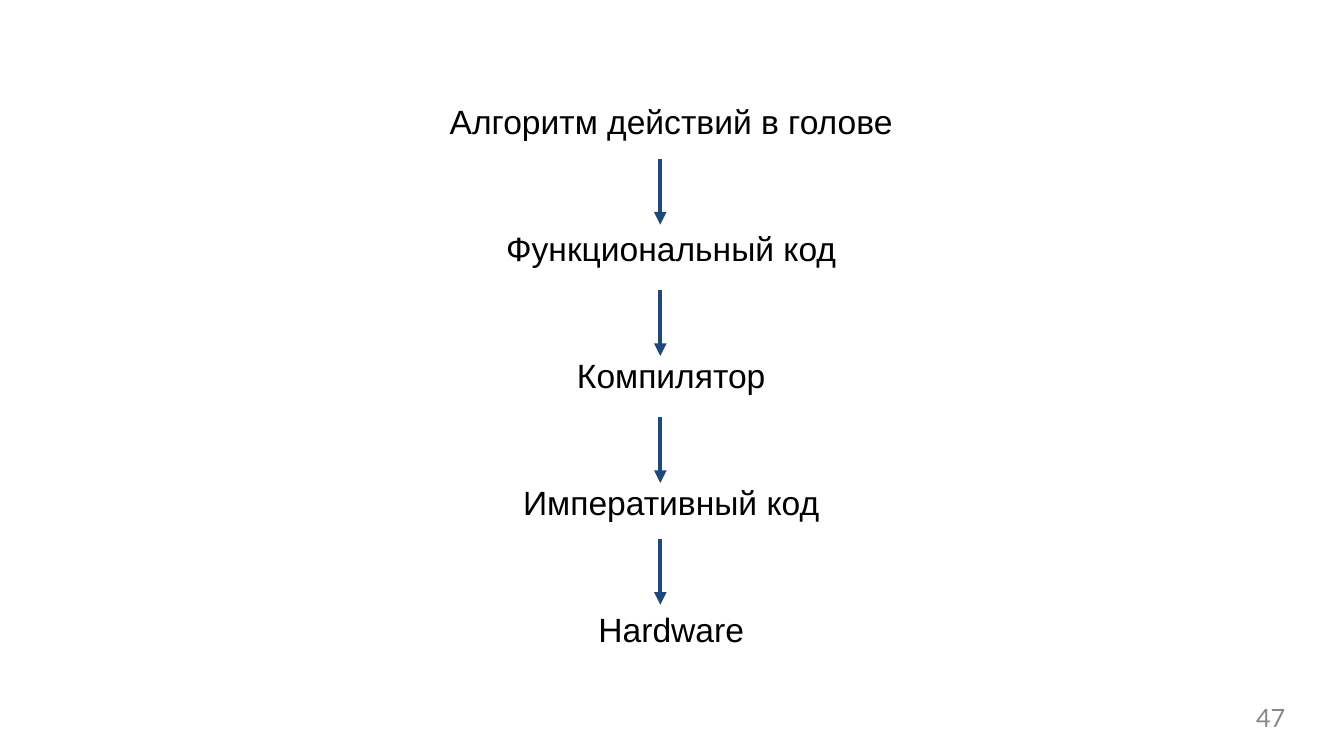
import pptx
import pptx.dml.color
import pptx.enum.shapes
import pptx.enum.text
import pptx.oxml
import pptx.oxml.ns
import pptx.util
from pptx.util import Cm

STAGES = [
    "Алгоритм действий в голове",
    "Функциональный код",
    "Компилятор",
    "Императивный код",
    "Hardware",
]
STAGE_HEIGHT = 3.2
ARROW_X = 16.64
ARROW_TOPS = [4.01, 7.32, 10.52, 13.59]
ARROW_LENGTH = 1.65


def colour(value):
    return pptx.dml.color.RGBColor.from_string(value)


def write(paragraph, text, font, size, hex_colour, align):
    paragraph.alignment = align
    run = paragraph.add_run()
    run.text = text
    run.font.name = font
    run.font.size = pptx.util.Pt(size)
    run.font.color.rgb = colour(hex_colour)


def add_stages(slide):
    stages = slide.shapes.add_table(
        len(STAGES), 1, Cm(3.48), Cm(1.5), Cm(26.87), Cm(STAGE_HEIGHT * len(STAGES))
    ).table
    stages.first_row = False
    stages.horz_banding = False
    for row, stage in enumerate(STAGES):
        cell = stages.cell(row, 0)
        cell.fill.background()
        cell.vertical_anchor = pptx.enum.text.MSO_ANCHOR.MIDDLE
        cell.margin_left = cell.margin_right = Cm(0.25)
        cell.margin_top = cell.margin_bottom = Cm(0.25)
        write(cell.text_frame.paragraphs[0], stage, "Arial", 24, "000000",
              pptx.enum.text.PP_ALIGN.CENTER)


def add_arrow(slide, top):
    arrow = slide.shapes.add_connector(
        pptx.enum.shapes.MSO_CONNECTOR.STRAIGHT,
        Cm(ARROW_X), Cm(top), Cm(ARROW_X), Cm(top + ARROW_LENGTH),
    )
    arrow.line.color.rgb = colour("1F497D")
    arrow.line.width = pptx.util.Pt(3)
    head = pptx.oxml.parse_xml(
        f'<a:tailEnd {pptx.oxml.ns.nsdecls("a")} type="triangle"/>'
    )
    arrow.line._get_or_add_ln().append(head)
    arrow._element.spPr.append(
        pptx.oxml.parse_xml(f'<a:effectLst {pptx.oxml.ns.nsdecls("a")}/>')
    )


def add_page_number(slide, number):
    frame = slide.shapes.add_textbox(Cm(24.59), Cm(17.7), Cm(7.8), Cm(0.76)).text_frame
    frame.word_wrap = True
    frame.margin_left = frame.margin_right = 0
    frame.margin_top = frame.margin_bottom = 0
    write(frame.paragraphs[0], number, "Lato", 18, "888888",
          pptx.enum.text.PP_ALIGN.RIGHT)


def main():
    deck = pptx.Presentation()
    deck.slide_width = Cm(33.87)
    deck.slide_height = Cm(19.05)
    slide = deck.slides.add_slide(deck.slide_layouts[6])
    add_page_number(slide, "47")
    add_stages(slide)
    for top in ARROW_TOPS:
        add_arrow(slide, top)
    deck.save("out.pptx")


if __name__ == "__main__":
    main()
